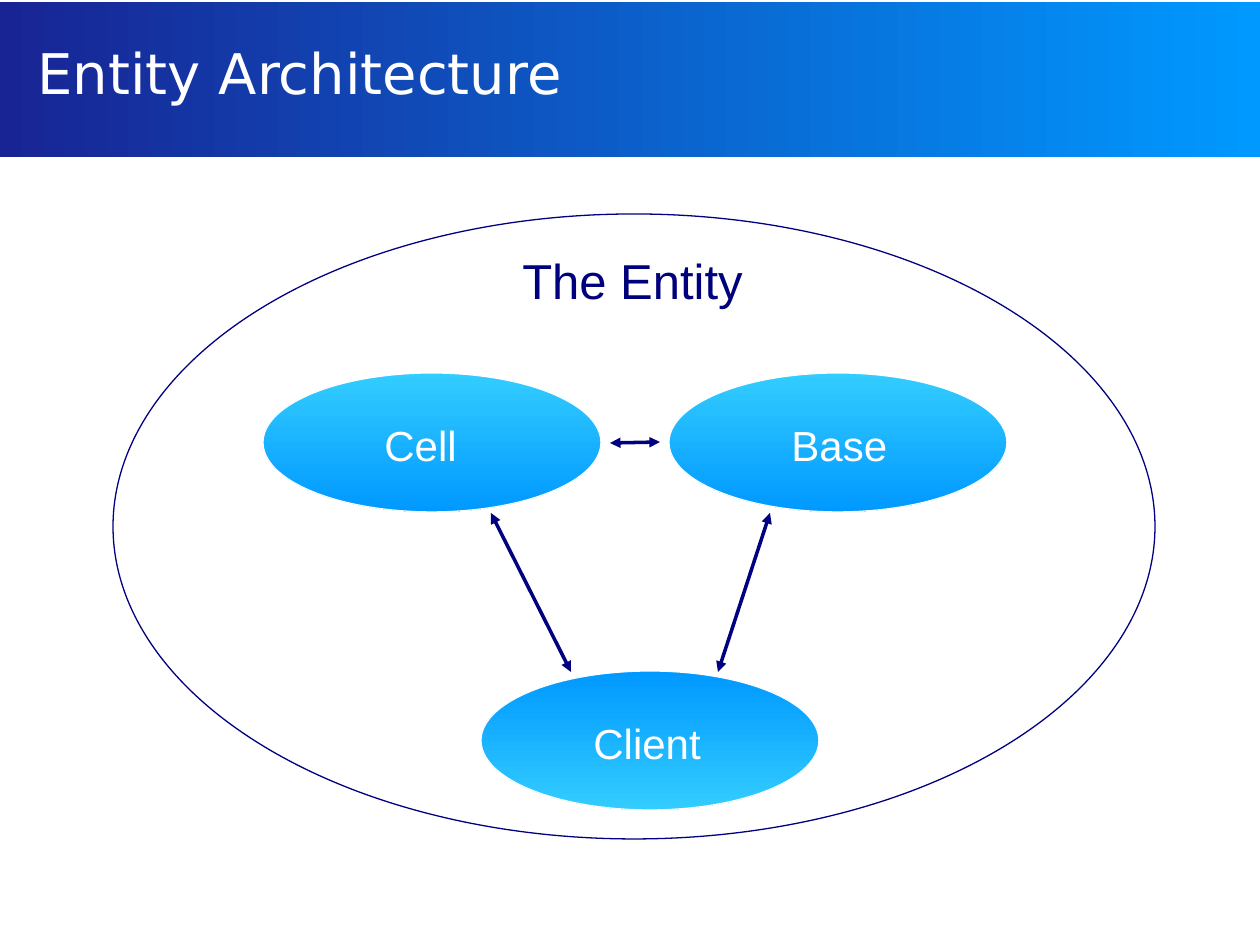
from dataclasses import dataclass

from lxml import etree
from pptx import Presentation
from pptx.dml.color import RGBColor
from pptx.enum.shapes import MSO_CONNECTOR, MSO_SHAPE
from pptx.enum.text import MSO_ANCHOR, PP_ALIGN
from pptx.oxml.ns import qn
from pptx.shapes.autoshape import Shape
from pptx.shapes.shapetree import SlideShapes
from pptx.text.text import TextFrame
from pptx.util import Emu, Pt

RECTANGLE = MSO_SHAPE.RECTANGLE
OVAL = MSO_SHAPE.OVAL
STRAIGHT = MSO_CONNECTOR.STRAIGHT
LEFT = PP_ALIGN.LEFT
MIDDLE = MSO_ANCHOR.MIDDLE

EMU_PER_PX = 914400 / 126
SLIDE_WIDTH, SLIDE_HEIGHT = 1260, 945
TITLE_ONLY_LAYOUT = 5
NODE_WIDTH, NODE_HEIGHT = 338, 139
LABEL_WIDTH, LABEL_HEIGHT, LABEL_DROP = 248, 63, 40
LEFT_TO_RIGHT, TOP_TO_BOTTOM = 0, 270


@dataclass(frozen=True)
class Theme:
    white: str = "FFFFFF"
    navy: str = "000080"
    heading: str = "00007D"
    banner_dark: str = "182494"
    blue: str = "0099FF"
    sky: str = "33CCFF"
    title_font: str = "DejaVu Sans"
    body_font: str = "Arial"
    title_size: int = 32
    heading_size: int = 28
    label_size: int = 24
    outline: float = 0.75
    arrow: float = 2


@dataclass(frozen=True)
class Box:
    left: int
    top: int
    width: int
    height: int

    def emu(self) -> list[Emu]:
        return [px(n) for n in (self.left, self.top, self.width, self.height)]


@dataclass(frozen=True)
class Node:
    label: str
    left: int
    top: int
    label_left: int
    top_color: str
    bottom_color: str


@dataclass(frozen=True)
class Link:
    start: tuple[int, int]
    end: tuple[int, int]


THEME = Theme()
NODES = (
    Node("Cell", 263, 373, 372, THEME.sky, THEME.blue),
    Node("Base", 669, 373, 779, THEME.sky, THEME.blue),
    Node("Client", 481, 671, 581, THEME.blue, THEME.sky),
)
LINKS = (
    Link((770, 513), (718, 672)),
    Link((660, 442), (610, 443)),
    Link((491, 513), (571, 672)),
)


def px(length: int) -> Emu:
    return Emu(round(length * EMU_PER_PX))


def write(frame: TextFrame, text: str, font: str, size: int, color: str) -> None:
    frame.text = text
    frame.word_wrap = True
    paragraph = frame.paragraphs[0]
    paragraph.alignment = LEFT
    run = paragraph.runs[0]
    run.font.name = font
    run.font.size = Pt(size)
    run.font.color.rgb = RGBColor.from_string(color)


def fill_gradient(shape: Shape, first: str, last: str, angle: int) -> None:
    shape.fill.gradient()
    shape.fill.gradient_angle = angle
    for stop, color in zip(shape.fill.gradient_stops, (first, last)):
        stop.color.rgb = RGBColor.from_string(color)


def add_ellipse(shapes: SlideShapes, box: Box, outline: str) -> Shape:
    ellipse = shapes.add_shape(OVAL, *box.emu())
    ellipse.shadow.inherit = False
    ellipse.line.color.rgb = RGBColor.from_string(outline)
    ellipse.line.width = Pt(THEME.outline)
    return ellipse


def add_label(shapes: SlideShapes, box: Box, text: str, size: int, color: str) -> None:
    label = shapes.add_textbox(*box.emu())
    write(label.text_frame, text, THEME.body_font, size, color)


def add_link(shapes: SlideShapes, link: Link) -> None:
    ends = [px(n) for n in (*link.start, *link.end)]
    arrow = shapes.add_connector(STRAIGHT, *ends)
    arrow.line.color.rgb = RGBColor.from_string(THEME.navy)
    arrow.line.width = Pt(THEME.arrow)
    line = arrow.line._get_or_add_ln()
    for tip in ("a:headEnd", "a:tailEnd"):
        etree.SubElement(line, qn(tip), type="triangle")
    etree.SubElement(arrow.element.spPr, qn("a:effectLst"))


def add_title(shapes: SlideShapes) -> None:
    title = shapes.title
    title.left, title.top, title.width, title.height = Box(25, 0, 1206, 145).emu()
    title.text_frame.vertical_anchor = MIDDLE
    write(title.text_frame, "Entity Architecture", THEME.title_font,
          THEME.title_size, THEME.white)

    banner = shapes.add_shape(RECTANGLE, *Box(0, 2, SLIDE_WIDTH, 155).emu())
    banner.shadow.inherit = False
    banner.line.fill.background()
    fill_gradient(banner, THEME.banner_dark, THEME.blue, LEFT_TO_RIGHT)
    title.element.addprevious(banner.element)


def add_diagram(shapes: SlideShapes) -> None:
    for node in NODES:
        oval = Box(node.left, node.top, NODE_WIDTH, NODE_HEIGHT)
        ellipse = add_ellipse(shapes, oval, THEME.white)
        fill_gradient(ellipse, node.top_color, node.bottom_color, TOP_TO_BOTTOM)

    entity = add_ellipse(shapes, Box(113, 214, 1042, 625), THEME.navy)
    entity.fill.background()

    for node in NODES:
        place = Box(node.label_left, node.top + LABEL_DROP, LABEL_WIDTH, LABEL_HEIGHT)
        add_label(shapes, place, node.label, THEME.label_size, THEME.white)
    add_label(shapes, Box(510, 244, 338, 72), "The Entity",
              THEME.heading_size, THEME.heading)

    for link in LINKS:
        add_link(shapes, link)


def main() -> None:
    deck = Presentation()
    deck.slide_width, deck.slide_height = px(SLIDE_WIDTH), px(SLIDE_HEIGHT)
    slide = deck.slides.add_slide(deck.slide_layouts[TITLE_ONLY_LAYOUT])
    add_title(slide.shapes)
    add_diagram(slide.shapes)
    deck.save("out.pptx")


if __name__ == "__main__":
    main()
